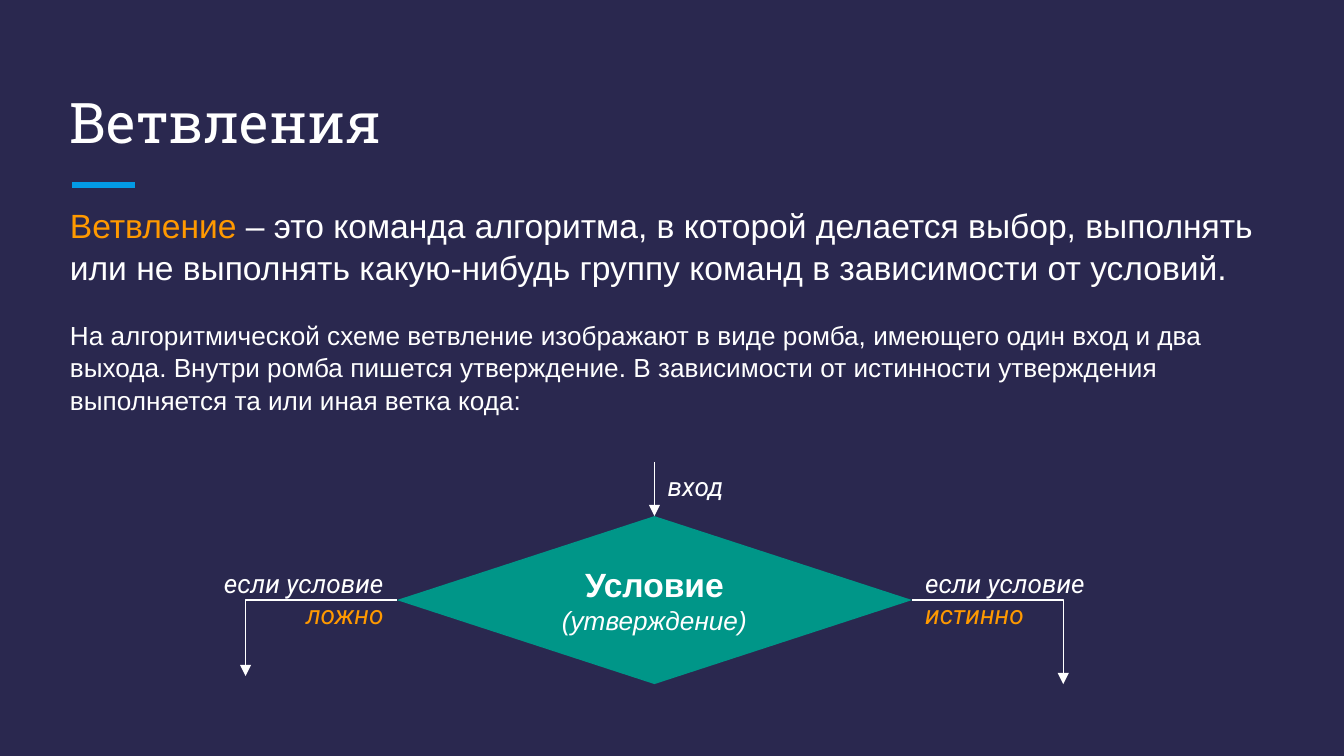
from dataclasses import dataclass

from lxml.etree import SubElement
from pptx import Presentation
from pptx.dml.color import RGBColor
from pptx.enum.shapes import MSO_CONNECTOR, MSO_SHAPE
from pptx.enum.text import MSO_ANCHOR, PP_ALIGN
from pptx.oxml.ns import qn
from pptx.util import Pt


@dataclass(frozen=True)
class Theme:
    bg: str = "2A284F"
    text: str = "FFFFFF"
    accent: str = "FF9900"
    rule: str = "039BE5"
    diamond: str = "009688"
    title: float = 30
    large: float = 18
    small: float = 14
    heading_font: str = "Roboto Slab"
    body_font: str = "Arial"
    label_font: str = "Roboto"
    inset: float = 7.2


T = Theme()


@dataclass(frozen=True)
class Run:
    text: str
    size: float = T.small
    font: str = T.body_font
    color: str = T.text
    bold: bool = False
    italic: bool = False


@dataclass(frozen=True)
class Box:
    left: float
    top: float
    width: float
    height: float


@dataclass(frozen=True)
class Label:
    box: Box
    text: str
    answer: str = ""
    align: PP_ALIGN = PP_ALIGN.LEFT


@dataclass(frozen=True)
class Line:
    start: tuple[float, float]
    end: tuple[float, float]
    color: str = T.text
    width: float = 0.75
    arrow: bool = True


def rgb(color: str) -> RGBColor:
    return RGBColor.from_string(color)


def add_run(p, run: Run) -> None:
    r = p.add_run()
    r.text = run.text
    f = r.font
    f.size, f.name, f.bold, f.italic = Pt(run.size), run.font, run.bold, run.italic
    f.color.rgb = rgb(run.color)


def set_frame(tf, anchor: MSO_ANCHOR = MSO_ANCHOR.TOP) -> None:
    tf.word_wrap = True
    tf.vertical_anchor = anchor
    tf.margin_left = tf.margin_right = tf.margin_top = tf.margin_bottom = Pt(T.inset)


def add_text(s, box: Box, paragraphs: list[list[Run]],
             align: PP_ALIGN = PP_ALIGN.LEFT, anchor: MSO_ANCHOR = MSO_ANCHOR.TOP):
    tf = s.shapes.add_textbox(Pt(box.left), Pt(box.top), Pt(box.width), Pt(box.height)).text_frame
    set_frame(tf, anchor)
    for i, runs in enumerate(paragraphs):
        p = tf.add_paragraph() if i else tf.paragraphs[0]
        p.alignment = align
        for run in runs:
            add_run(p, run)
    return tf


def add_line(s, line: Line) -> None:
    (x1, y1), (x2, y2) = line.start, line.end
    bent = x1 != x2 and y1 != y2
    kind = MSO_CONNECTOR.ELBOW if bent else MSO_CONNECTOR.STRAIGHT
    c = s.shapes.add_connector(kind, Pt(x1), Pt(y1), Pt(x2), Pt(y2))
    c.line.color.rgb = rgb(line.color)
    c.line.width = Pt(line.width)
    sp_pr = c._element.spPr
    if bent:  # turn at the far end, so the last leg runs straight down
        guides = sp_pr.find(qn("a:prstGeom")).get_or_add_avLst()
        SubElement(guides, qn("a:gd"), name="adj1", fmla="val 100000")
    if line.arrow:
        SubElement(c.line._get_or_add_ln(), qn("a:tailEnd"), type="triangle")
    SubElement(sp_pr, qn("a:effectLst"))


def add_diamond(s, box: Box, heading: Run, note: Run) -> None:
    sp = s.shapes.add_shape(MSO_SHAPE.DIAMOND, Pt(box.left), Pt(box.top),
                            Pt(box.width), Pt(box.height))
    sp.shadow.inherit = False
    sp.fill.solid()
    sp.fill.fore_color.rgb = rgb(T.diamond)
    sp.line.fill.background()
    set_frame(sp.text_frame, MSO_ANCHOR.MIDDLE)
    p = sp.text_frame.paragraphs[0]
    p.alignment = PP_ALIGN.CENTER
    add_run(p, heading)
    p.add_line_break()
    add_run(p, note)


def add_label(s, label: Label) -> None:
    runs = [Run(label.text, font=T.label_font, italic=True)]
    if label.answer:
        runs.append(Run(label.answer, font=T.label_font, color=T.accent, italic=True))
    add_text(s, label.box, [runs], label.align)


def main() -> None:
    prs = Presentation()
    prs.slide_width, prs.slide_height = Pt(720), Pt(405)
    s = prs.slides.add_slide(prs.slide_layouts[6])
    s.background.fill.solid()
    s.background.fill.fore_color.rgb = rgb(T.bg)

    # Title and its rule
    add_line(s, Line((38.6, 99.2), (72.3, 99.2), T.rule, 3, arrow=False))
    add_text(s, Box(30.4, 36, 659, 54), [[Run("Ветвления", T.title, T.heading_font)]],
             anchor=MSO_ANCHOR.BOTTOM)

    # Definition and explanation
    tf = add_text(s, Box(30.4, 101.5, 659, 124), [
        [Run("Ветвление", T.large, color=T.accent),
         Run(" – это команда алгоритма, в которой делается выбор, выполнять или не выполнять "
             "какую-нибудь группу команд в зависимости от условий.", T.large)],
        [Run("На алгоритмической схеме ветвление изображают в виде ромба, имеющего один вход "
             "и два выхода. Внутри ромба пишется утверждение. В зависимости от истинности "
             "утверждения выполняется та или иная ветка кода:")],
    ])
    for p in tf.paragraphs:
        p.line_spacing = 1.05
    tf.paragraphs[1].space_before = tf.paragraphs[1].space_after = Pt(16)

    # Condition
    d = Box(212.6, 276.5, 276, 90)
    right, mid_x, mid_y = d.left + d.width, d.left + d.width / 2, d.top + d.height / 2
    add_diamond(s, d, Run("Условие", T.large, bold=True), Run("(утверждение)", italic=True))

    # Entry and the two exits
    reach = 81
    for line in (
        Line((d.left, mid_y), (d.left - reach, 362.2)),
        Line((right, mid_y), (right + reach, 366.5)),
        Line((mid_x, 247.5), (mid_x, d.top)),
    ):
        add_line(s, line)

    # Labels
    label_w, label_h, label_top = 103, 50, 296.8
    for label in (
        Label(Box(mid_x, 244.8, 57, 32), "вход"),
        Label(Box(right, label_top, label_w, label_h), "если условие ", "истинно"),
        Label(Box(d.left - label_w, label_top, label_w, label_h), "если условие ", "ложно",
              PP_ALIGN.RIGHT),
    ):
        add_label(s, label)

    prs.save("out.pptx")


if __name__ == "__main__":
    main()
